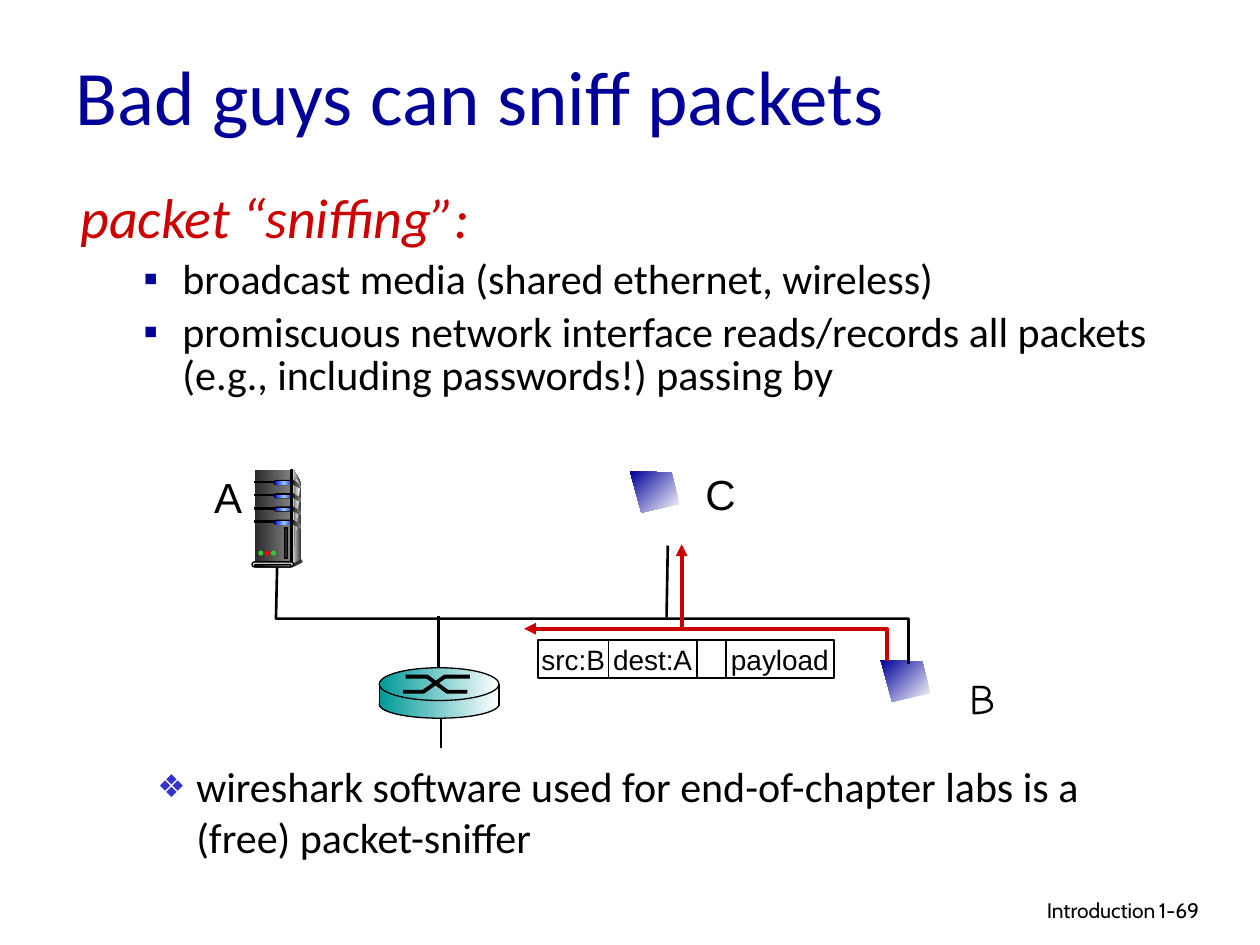
from copy import deepcopy

from lxml import etree
from pptx import Presentation
from pptx.dml.color import RGBColor
from pptx.enum.shapes import MSO_CONNECTOR, MSO_SHAPE
from pptx.enum.text import MSO_ANCHOR, MSO_AUTO_SIZE, PP_ALIGN
from pptx.oxml.ns import qn
from pptx.util import Cm, Pt

RECT, PILL, OVAL = MSO_SHAPE.RECTANGLE, MSO_SHAPE.ROUNDED_RECTANGLE, MSO_SHAPE.OVAL
STRAIGHT = MSO_CONNECTOR.STRAIGHT
LEFT, CENTER, RIGHT = PP_ALIGN.LEFT, PP_ALIGN.CENTER, PP_ALIGN.RIGHT
MIDDLE, TOP = MSO_ANCHOR.MIDDLE, MSO_ANCHOR.TOP
NO_FIT = MSO_AUTO_SIZE.NONE

COLORS = {
    "black": "000000", "white": "FFFFFF", "navy": "000099", "red": "CC0000",
    "diamond": "3333CC", "teal": "009999", "coal": "292929", "dark": "333333",
    "gray": "808080", "silver": "DDDDDD", "pale": "F8F8F8", "blue": "0000FF",
    "sky": "99CCFF", "green": "33CC33", "alarm": "FF0000",
}

TITLE = "Bad guys can sniff packets"
HEADING = "packet “sniffing”:"
BULLETS = [
    "broadcast media (shared ethernet, wireless)",
    "promiscuous network interface reads/records all packets (e.g., including passwords!) passing by",
]
CLOSING = "wireshark software used for end-of-chapter labs is a (free) packet-sniffer"
HOST_LABELS = [
    ("A", 1.6, 3.69, "Arial"), ("B", 7.59, 5.29, "Comic Neue"), ("C", 5.5, 3.67, "Arial"),
]
FOOTER = [("Introduction", 6.1, 3.17, RIGHT), ("1-69", 9.1, 0.74, LEFT)]
PACKET_FIELDS = [("src:B", 0.56), ("dest:A", 0.7), ("", 0.23), ("payload", 0.86)]
PACKET_LEFT, PACKET_TOP, PACKET_HEIGHT = 4.27, 5.08, 0.3
SCREENS = [(5, 3.74), (6.99, 5.24)]
SCREEN_OUTLINE = [(0, 0), (0.33, 0.01), (0.39, 0.26), (0.09, 0.33)]
WIRES = [
    [(2.2, 4.47), (2.19, 4.91), (7.21, 4.91), (7.21, 5.27)],
    [(5.29, 4.9), (5.3, 4.33)],
]
ROUTER_LINKS = [(3.48, 5.31, 4.89), (3.5, 5.94, 5.67)]
ROUTER_PARTS = [
    (OVAL, 5.48, 0.22, "black"), (RECT, 5.46, 0.13, None), (OVAL, 5.3, 0.26, "black"),
]
ROUTER_CROSS = [
    [(3.2, 5.49), (3.36, 5.49), (3.53, 5.37), (3.73, 5.37)],
    [(3.22, 5.37), (3.39, 5.37), (3.55, 5.49), (3.71, 5.49)],
]
SERVER_LIGHTS = ["green", "alarm", "green"]
SLOT_TOP, SLOT_STEP, SLOT_COUNT = 3.81, 0.105, 4


def length(inches):
    return Cm(inches * 2.54)


def color(name):
    return RGBColor.from_string(COLORS[name])


def paint(shape, fill=None, line=None, width=0.75):
    shape.shadow.inherit = False
    if fill is None:
        shape.fill.background()
    elif isinstance(fill, str):
        shape.fill.solid()
        shape.fill.fore_color.rgb = color(fill)
    else:
        names, angle = fill
        shape.fill.gradient()
        shape.fill.gradient_angle = angle
        stop_list = shape._element.spPr.find(".//" + qn("a:gsLst"))
        while len(stop_list) < len(names):
            stop_list.append(deepcopy(stop_list[0]))
        for index, (stop, name) in enumerate(zip(shape.fill.gradient_stops, names)):
            stop.color.rgb = color(name)
            stop.position = index / (len(names) - 1)
    if line is None:
        shape.line.fill.background()
    else:
        shape.line.color.rgb = color(line)
        shape.line.width = Pt(width)


def add_preset(slide, kind, left, top, width, height, fill, line=None, weight=0.75):
    shape = slide.shapes.add_shape(kind, *map(length, (left, top, width, height)))
    if kind == PILL:
        shape.adjustments[0] = 0.5
    paint(shape, fill, line, weight)


def add_outline(slide, points, fill=None, line=None, width=0.75):
    corners = [(length(x), length(y)) for x, y in points]
    builder = slide.shapes.build_freeform(*corners[0])
    builder.add_line_segments(corners[1:], close=fill is not None)
    shape = builder.convert_to_shape()
    paint(shape, fill, line, width)
    return shape


def add_line(slide, start, end, name="black", width=0.75):
    line = slide.shapes.add_connector(STRAIGHT, *map(length, (*start, *end)))
    line.line.color.rgb = color(name)
    line.line.width = Pt(width)
    etree.SubElement(line._element.spPr, qn("a:effectLst"))
    return line


def add_arrowhead(shape):
    outline = shape._element.spPr.find(qn("a:ln"))
    etree.SubElement(outline, qn("a:tailEnd"), type="triangle")


def format_text(para, size, face, name="black", align=LEFT):
    para.alignment = align
    para.font.size = Pt(size)
    para.font.name = face
    para.font.color.rgb = color(name)


def add_box(slide, left, top, width, height, wrap=True, anchor=TOP, margin=0.1):
    box = slide.shapes.add_textbox(*map(length, (left, top, width, height)))
    frame = box.text_frame
    frame.word_wrap = wrap
    frame.vertical_anchor = anchor
    frame.margin_left = frame.margin_right = length(margin)
    return frame


def add_label(slide, text, place, size, face, align=LEFT, **options):
    para = add_box(slide, *place, **options).paragraphs[0]
    para.text = text
    format_text(para, size, face, align=align)


def write_bullet(para, text, mark, mark_color, percent=100):
    para.text = text
    para.level = 1
    settings = para._p.get_or_add_pPr()
    settings.set("marL", str(length(0.81)))
    settings.set("indent", str(length(-0.31)))
    tint = etree.SubElement(settings, qn("a:buClr"))
    etree.SubElement(tint, qn("a:srgbClr"), val=COLORS[mark_color])
    etree.SubElement(settings, qn("a:buSzPct"), val=str(percent * 1000))
    etree.SubElement(settings, qn("a:buFont"), typeface="Arial")
    etree.SubElement(settings, qn("a:buChar"), char=mark)
    format_text(para, 24, "Calibri")


def add_texts(slide):
    title = slide.shapes.title
    title.left, title.top, title.width, title.height = map(length, (0.5, 0.13, 8.5, 1.25))
    title.text_frame.text = TITLE
    title.text_frame.auto_size = NO_FIT
    title.text_frame.vertical_anchor = MIDDLE
    format_text(title.text_frame.paragraphs[0], 44, "Calibri", "navy")

    body = add_box(slide, 0.54, 1.48, 8.83, 1.62)
    heading = body.paragraphs[0]
    heading.text = HEADING
    heading.line_spacing = 0.85
    format_text(heading, 32, "Calibri", "red")
    heading.font.italic = True
    for text in BULLETS:
        para = body.add_paragraph()
        write_bullet(para, text, "▪", "navy")
        para.line_spacing = 0.85
        para.space_before = Pt(6)

    closing = add_box(slide, 0.65, 5.99, 8.5, 1)
    write_bullet(closing.paragraphs[0], CLOSING, "❖", "diamond", 75)
    for text, left, top, face in HOST_LABELS:
        add_label(slide, text, (left, top, 0.42, 0.5), 24, face, CENTER, wrap=False)
    for text, left, width, align in FOOTER:
        add_label(slide, text, (left, 7.07, width, 0.31), 12, "Cabin", align)


def add_network(slide):
    for left, top in SCREENS:
        points = [(left + x, top + y) for x, y in SCREEN_OUTLINE]
        add_outline(slide, points, (("white", "navy"), 135))
    for wire in WIRES:
        add_outline(slide, wire, line="black", width=1.5)
    for x, start, end in ROUTER_LINKS:
        add_line(slide, (x, start), (x, end), width=1.5)
    add_arrowhead(add_outline(slide, [(7.04, 5.25), (7.04, 4.99), (4.16, 4.99)], None, "red", 2.25))
    add_arrowhead(add_line(slide, (5.41, 4.99), (5.41, 4.32), "red", 2.25))


def add_packet(slide):
    total = sum(width for _, width in PACKET_FIELDS)
    add_preset(slide, RECT, PACKET_LEFT, PACKET_TOP, total, PACKET_HEIGHT, "white", "black", 1)
    left = PACKET_LEFT
    for text, width in PACKET_FIELDS:
        if left > PACKET_LEFT:
            add_line(slide, (left, PACKET_TOP), (left, PACKET_TOP + PACKET_HEIGHT), width=1)
        if text:
            place = (left, PACKET_TOP, width, PACKET_HEIGHT)
            add_label(slide, text, place, 16, "Arial", CENTER, wrap=False, anchor=MIDDLE, margin=0)
        left += width


def add_server(slide):
    add_outline(slide, [(2.33, 3.73), (2.39, 3.83), (2.39, 4.44), (2.32, 4.47)], (("dark", "silver"), 180))
    add_preset(slide, RECT, 2.02, 3.73, 0.29, 0.74, (("gray", "coal"), 180))
    add_outline(slide, [(2.33, 3.78), (2.38, 3.84), (2.35, 4.2), (2.33, 4.45)], (("pale", "gray"), 180))
    for index in range(SLOT_COUNT):
        top = SLOT_TOP + index * SLOT_STEP
        side = [(2.32, top), (2.39, top + 0.04), (2.39, top + 0.07), (2.32, top + 0.03)]
        add_outline(slide, side, (("gray", "coal"), 180))
        add_preset(slide, RECT, 2.02, top + 0.01, 0.16, 0.01, "black", "black")
        add_preset(slide, PILL, 2.17, top, 0.16, 0.04, "black")
        add_preset(slide, PILL, 2.18, top + 0.01, 0.15, 0.03, (("blue", "sky", "blue"), 180))
    add_preset(slide, RECT, 2.31, 3.73, 0.01, 0.74, (("dark", "silver", "dark"), 180), "black")
    add_preset(slide, OVAL, 2.39, 4.44, 0.01, 0.03, "dark")
    add_outline(slide, [(2.33, 4.47), (2.33, 4.5), (2.39, 4.47), (2.39, 4.44)], "dark")
    add_preset(slide, PILL, 2, 4.46, 0.33, 0.04, "silver", "black")
    add_preset(slide, PILL, 2.02, 4.48, 0.29, 0.02, (("gray", "black"), 180), "black")
    for index, name in enumerate(SERVER_LIGHTS):
        add_preset(slide, OVAL, 2.05 + index * 0.05, 4.37, 0.04, 0.04, name)
    add_preset(slide, RECT, 2.26, 4.19, 0.02, 0.24, "coal", "black")


def add_router(slide):
    for kind, top, height, line in ROUTER_PARTS:
        add_preset(slide, kind, 3.01, top, 0.95, height, (("white", "teal"), 180), line)
    for points in ROUTER_CROSS:
        add_outline(slide, points, line="black", width=2.25)
    for x in (3.01, 3.96):
        add_line(slide, (x, 5.43), (x, 5.6))


def main():
    deck = Presentation()
    deck.slide_width, deck.slide_height = length(10), length(7.5)
    slide = deck.slides.add_slide(deck.slide_layouts[5])
    for add_part in (add_texts, add_network, add_packet, add_server, add_router):
        add_part(slide)
    deck.save("out.pptx")


if __name__ == "__main__":
    main()
